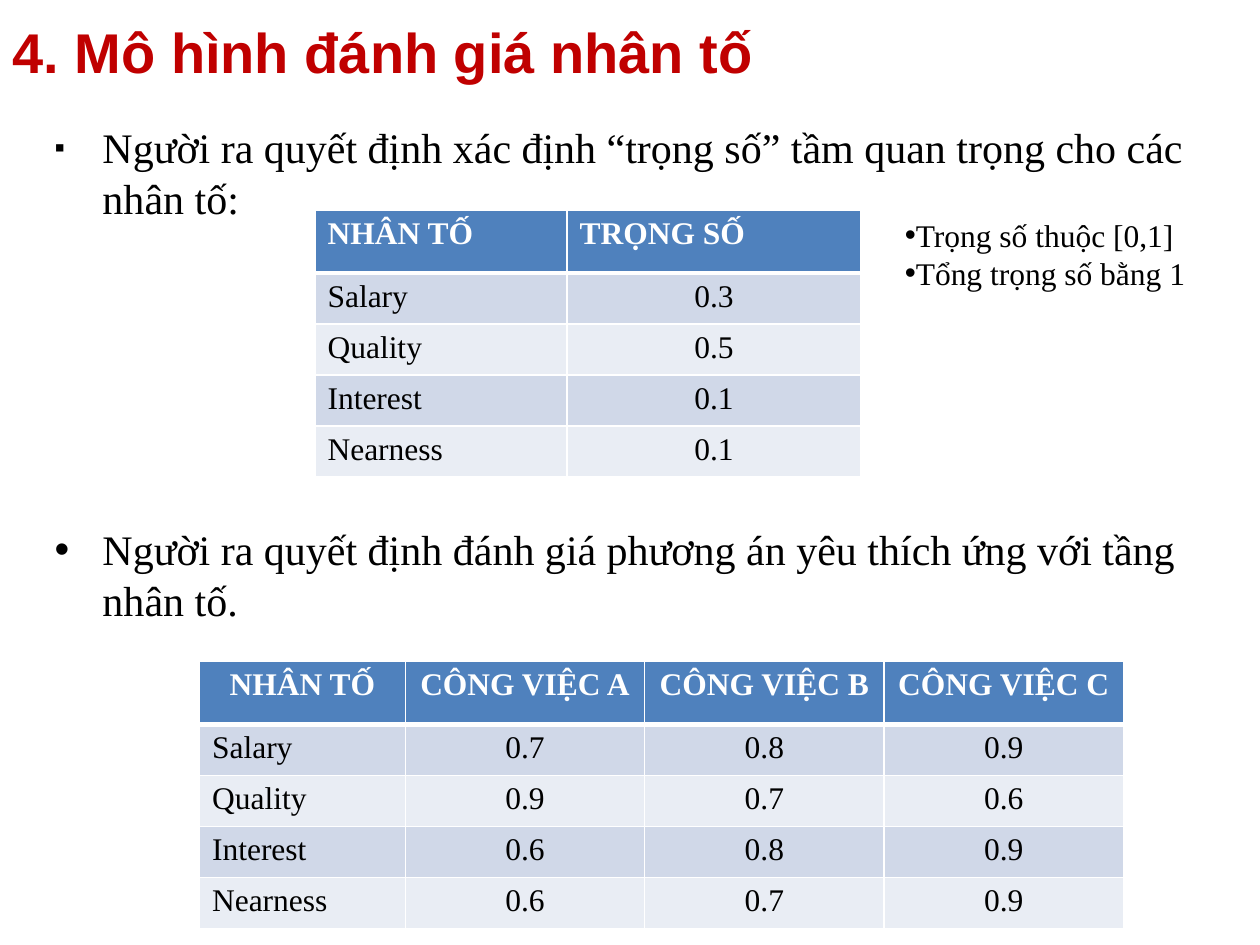
from dataclasses import dataclass
from typing import Optional

from lxml import etree
from pptx import Presentation
from pptx import util as u
from pptx.dml.color import RGBColor
from pptx.enum import text
from pptx.oxml import ns

COLORS = {"title": "C00000", "ink": "000000", "paper": "FFFFFF",
          "header": "4F81BD", "odd": "D0D8E8", "even": "E9EDF4"}
SERIF = "Times New Roman"
UNIT = 1 / 12  # the grid: 120 columns by 90 rows on a 10 x 7.5 inch slide
HEADER_ROW, DATA_ROW = 6, 4.86
FACTORS = ["Salary", "Quality", "Interest", "Nearness"]


@dataclass
class Box:
    left: float
    top: float
    width: float
    height: float

    def lengths(self) -> list:
        return [grid(v) for v in (self.left, self.top, self.width, self.height)]


@dataclass
class FactorTable:
    left: float
    top: float
    columns: list
    header: list
    scores: list
    header_align: Optional[text.PP_ALIGN] = None


@dataclass
class Point:
    wording: str
    bullet: str
    space_before: float
    bullet_percent: int = 100


def grid(units: float) -> u.Length:
    return u.Inches(units * UNIT)


def place(shape, box: Box) -> None:
    shape.left, shape.top, shape.width, shape.height = box.lengths()


def style(paragraph, size: float, color: str, font: str = SERIF, bold: bool = False) -> None:
    for run in paragraph.runs:
        run.font.size, run.font.name, run.font.bold = u.Pt(size), font, bold
        run.font.color.rgb = RGBColor.from_string(COLORS[color])


def add_bullet(paragraph, char: str, indent: float = 0, percent: int = 100) -> None:
    props = paragraph._p.get_or_add_pPr()
    props.set("marL", str(u.Inches(indent)))
    props.set("indent", str(-u.Inches(indent)))
    for tag, key, value in (("a:buSzPct", "val", str(percent * 1000)),
                            ("a:buFont", "typeface", "Arial"),
                            ("a:buChar", "char", char)):
        etree.SubElement(props, ns.qn(tag)).set(key, value)


def set_borders(cell, top: float, bottom: float) -> None:
    props = cell._tc.get_or_add_tcPr()
    widths = {"a:lnL": 1, "a:lnR": 1, "a:lnT": top, "a:lnB": bottom}
    for position, (tag, width) in enumerate(widths.items()):
        line = etree.Element(ns.qn(tag), w=str(u.Pt(width)))
        fill = etree.SubElement(line, ns.qn("a:solidFill"))
        etree.SubElement(fill, ns.qn("a:srgbClr")).set("val", COLORS["paper"])
        props.insert(position, line)


def draw_table(slide, item: FactorTable) -> None:
    rows = [item.header] + [[name, *row] for name, row in zip(FACTORS, item.scores)]
    box = Box(item.left, item.top, sum(item.columns),
              HEADER_ROW + DATA_ROW * len(FACTORS))
    table = slide.shapes.add_table(len(rows), len(item.columns), *box.lengths()).table
    for column, width in zip(table.columns, item.columns):
        column.width = grid(width)
    for r, values in enumerate(rows):
        is_header = r == 0
        table.rows[r].height = grid(HEADER_ROW if is_header else DATA_ROW)
        band = "header" if is_header else ("odd" if r % 2 else "even")
        for c, value in enumerate(values):
            cell = table.cell(r, c)
            cell.fill.solid()
            cell.fill.fore_color.rgb = RGBColor.from_string(COLORS[band])
            set_borders(cell, top=3 if r == 1 else 1, bottom=3 if is_header else 1)
            cell.text_frame.text = str(value)
            paragraph = cell.text_frame.paragraphs[0]
            style(paragraph, 18, "paper" if is_header else "ink", bold=is_header)
            if is_header:
                paragraph.alignment = item.header_align
            elif c > 0:
                paragraph.alignment = text.PP_ALIGN.CENTER


def draw_title(slide, wording: str) -> None:
    title = slide.shapes.title
    place(title, Box(0, 0, 108, 8.64))
    frame = title.text_frame
    frame.text = wording
    frame.auto_size = text.MSO_AUTO_SIZE.NONE
    frame.vertical_anchor = text.MSO_ANCHOR.BOTTOM
    frame.paragraphs[0].alignment = text.PP_ALIGN.LEFT
    style(frame.paragraphs[0], 32, "title", "Arial", bold=True)


def draw_steps(slide, points: list) -> None:
    body = slide.placeholders[1]
    place(body, Box(4, 11, 111, 59.4))
    frame = body.text_frame
    frame.text = "\n".join(point.wording for point in points)
    frame.auto_size = text.MSO_AUTO_SIZE.NONE
    for paragraph, point in zip(frame.paragraphs, points):
        paragraph.space_before = u.Pt(point.space_before)
        add_bullet(paragraph, point.bullet, 0.38, point.bullet_percent)
        style(paragraph, 24, "ink")


def draw_rules(slide, rules: list) -> None:
    frame = slide.shapes.add_textbox(*Box(85, 20, 30, 8.5).lengths()).text_frame
    frame.word_wrap = True
    frame.text = "\n".join(rules)
    for paragraph in frame.paragraphs:
        add_bullet(paragraph, "•")
        style(paragraph, 18, "ink")


def main() -> None:
    deck = Presentation()
    deck.slide_width, deck.slide_height = grid(120), grid(90)
    slide = deck.slides.add_slide(deck.slide_layouts[1])

    # Title and the two steps, with room for the weights between them
    draw_title(slide, "4. Mô hình đánh giá nhân tố")
    draw_steps(slide, [
        Point("Người ra quyết định xác định “trọng số” tầm quan trọng cho các nhân tố:",
              "▪", 4.8, 70),
        Point("Người ra quyết định đánh giá phương án yêu thích ứng với tầng nhân tố.",
              "•", 172),
    ])

    # Weights of the factors and their rules
    draw_table(slide, FactorTable(30, 20, [24, 28], ["NHÂN TỐ", "TRỌNG SỐ"],
                                  [[0.3], [0.5], [0.1], [0.1]]))
    draw_rules(slide, ["Trọng số thuộc [0,1]", "Tổng trọng số bằng 1"])

    # Scores of each job
    jobs = [f"CÔNG VIỆC {letter}" for letter in "ABC"]
    draw_table(slide, FactorTable(
        19, 63, [19.6] + [22.8] * len(jobs), ["NHÂN TỐ", *jobs],
        [[0.7, 0.8, 0.9], [0.9, 0.7, 0.6], [0.6, 0.8, 0.9], [0.6, 0.7, 0.9]],
        text.PP_ALIGN.CENTER))

    deck.save("out.pptx")


if __name__ == "__main__":
    main()
